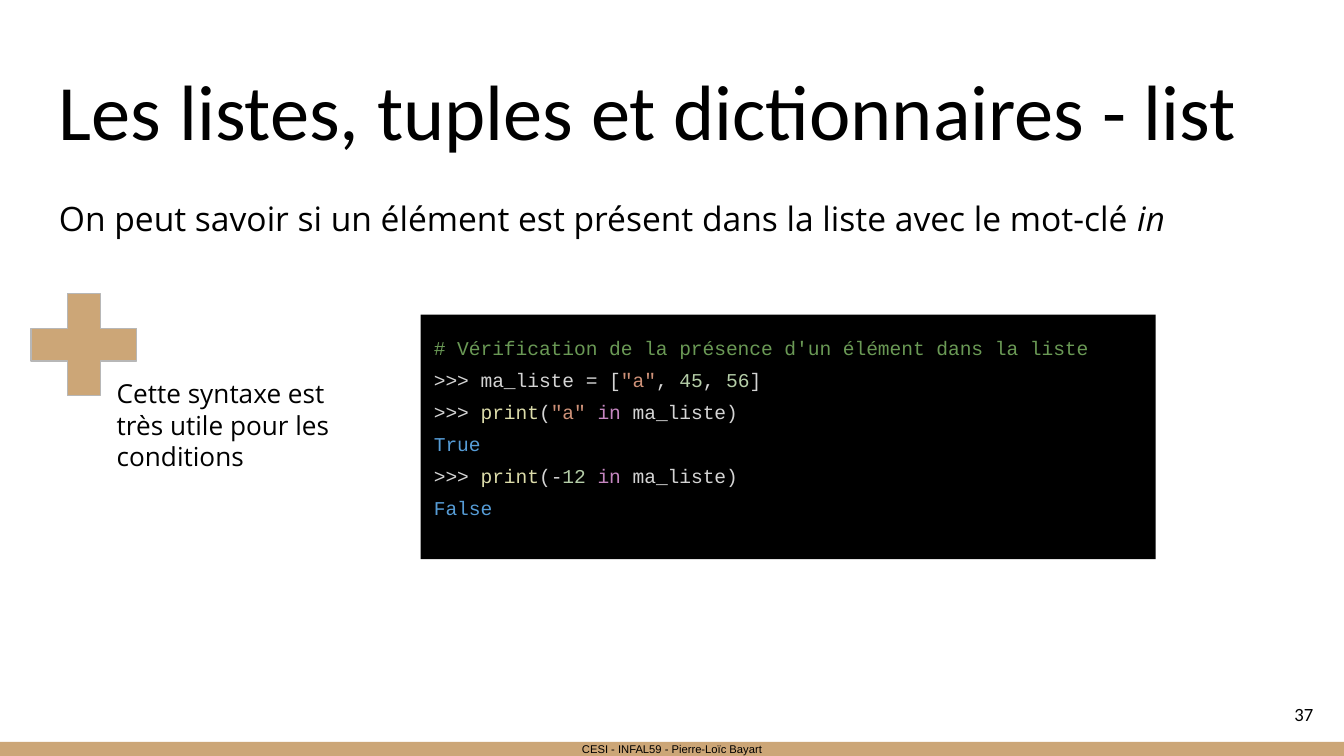
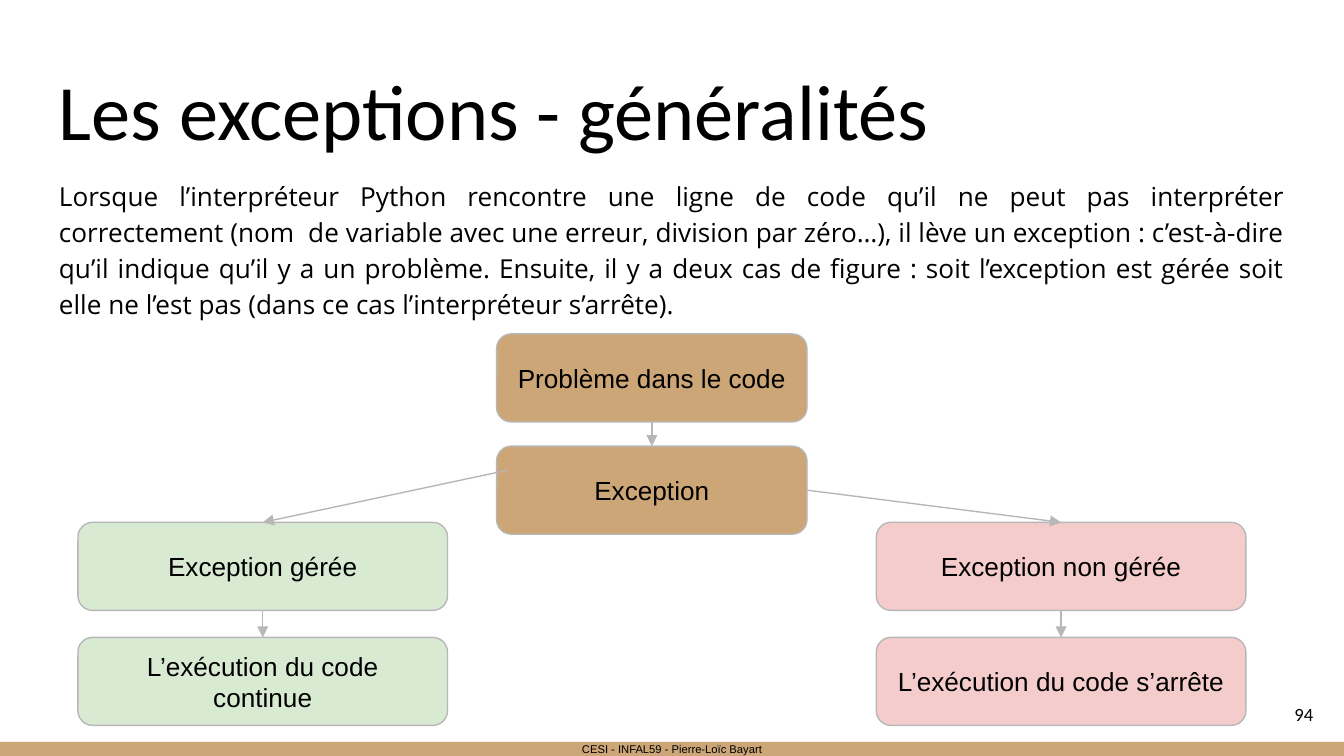
from pptx import Presentation
from pptx.dml.color import RGBColor
from pptx.enum.shapes import MSO_CONNECTOR, MSO_SHAPE
from pptx.enum.text import MSO_ANCHOR, PP_ALIGN
from pptx.oxml.ns import qn
from pptx.util import Inches, Pt
from lxml.etree import SubElement

BLACK = RGBColor(0x00, 0x00, 0x00)
WHITE = RGBColor(0xFF, 0xFF, 0xFF)
TAN = RGBColor(0xCC, 0xA6, 0x77)
GREY = RGBColor(0xB7, 0xB7, 0xB7)
GREEN = RGBColor(0xD9, 0xEA, 0xD3)
PINK = RGBColor(0xF4, 0xCC, 0xCC)

# Code colours
NOTE = RGBColor(0x6A, 0x99, 0x55)
PLAIN = RGBColor(0xD4, 0xD4, 0xD4)
STRING = RGBColor(0xCE, 0x91, 0x78)
NUMBER = RGBColor(0xB5, 0xCE, 0xA8)
CALL = RGBColor(0xDC, 0xDC, 0xAA)
WORD = RGBColor(0xC5, 0x86, 0xC0)
VALUE = RGBColor(0x56, 0x9C, 0xD6)

# Grid of 100 columns by 56.25 rows
COLS, ROWS = 100, 56.25
BOTTOM, RIGHT = 2, 3


class Deck:
    sans, head, body, mono = "Arial", "Calibri", "Open Sans", "Courier New"

    def __init__(self):
        self.prs = Presentation()
        self.prs.slide_width = Inches(10)
        self.prs.slide_height = Inches(5.625)
        self.col = self.prs.slide_width / COLS
        self.row = self.prs.slide_height / ROWS

    def place(self, x, y, w, h):
        return (round(x * self.col), round(y * self.row),
                round(w * self.col), round(h * self.row))

    def slide(self, title, number):
        """Start a slide with its footer band, title and number."""
        self.page = self.prs.slides.add_slide(self.prs.slide_layouts[6])
        fill = self.page.background.fill
        fill.solid()
        fill.fore_color.rgb = WHITE
        band = self.shape(MSO_SHAPE.RECTANGLE, (0, 55.2, COLS, 1.05), TAN)
        self.label(band, "CESI - INFAL59 - Pierre-Loïc Bayart", 6, self.sans,
                   PP_ALIGN.CENTER, MSO_ANCHOR.MIDDLE)
        self.text((3.4, 3.5, 93.2, 9.1), title, 42, self.head,
                  anchor=MSO_ANCHOR.BOTTOM)
        self.text((92.7, 51, 6, 4.3), number, 10, self.head,
                  PP_ALIGN.RIGHT, MSO_ANCHOR.MIDDLE)

    def frame(self, shape, anchor):
        frame = shape.text_frame
        frame.word_wrap = True
        frame.vertical_anchor = anchor
        frame.margin_left = frame.margin_right = Inches(0.1)
        frame.margin_top = frame.margin_bottom = Inches(0.1)
        return frame

    def style(self, run, size, font, color=BLACK):
        run.font.size = Pt(size)
        run.font.name = font
        run.font.color.rgb = color

    def label(self, shape, text, size, font, align=PP_ALIGN.LEFT,
              anchor=MSO_ANCHOR.TOP, space=None):
        frame = self.frame(shape, anchor)
        frame.text = text
        para = frame.paragraphs[0]
        para.alignment = align
        para.line_spacing = space
        self.style(para.runs[0], size, font)
        return para

    def text(self, area, *args, **more):
        box = self.page.shapes.add_textbox(*self.place(*area))
        return self.label(box, *args, **more)

    def shape(self, kind, area, fill, line=None):
        shape = self.page.shapes.add_shape(kind, *self.place(*area))
        shape.shadow.inherit = False
        shape.fill.solid()
        shape.fill.fore_color.rgb = fill
        if line is None:
            shape.line.fill.background()
        else:
            shape.line.color.rgb = line
            shape.line.width = Pt(0.75)
        return shape

    def code(self, area, lines):
        panel = self.shape(MSO_SHAPE.RECTANGLE, area, BLACK)
        frame = self.frame(panel, MSO_ANCHOR.TOP)
        for i, line in enumerate(lines):
            para = frame.add_paragraph() if i else frame.paragraphs[0]
            para.alignment = PP_ALIGN.LEFT
            para.line_spacing = 1.36
            for part, color in line:
                run = para.add_run()
                run.text = part
                self.style(run, 10.5, self.mono, color)

    def node(self, area, text, fill):
        node = self.shape(MSO_SHAPE.ROUNDED_RECTANGLE, area, fill, GREY)
        node.adjustments[0] = 0.167
        self.label(node, text, 14, self.sans, PP_ALIGN.CENTER,
                   MSO_ANCHOR.MIDDLE)
        return node

    def arrow(self, start, end, side=BOTTOM, point=None):
        """Join a side of start, or a free point, to the top of end."""
        x, y = self.place(*point, 0, 0)[:2] if point else (0, 0)
        line = self.page.shapes.add_connector(
            MSO_CONNECTOR.STRAIGHT, x, y, x, y)
        if point is None:
            line.begin_connect(start, side)
        line.end_connect(end, 0)
        line.line.color.rgb = GREY
        line.line.width = Pt(0.75)
        props = line._element.spPr
        SubElement(props.find(qn("a:ln")), qn("a:tailEnd"), type="triangle")
        SubElement(props, qn("a:effectLst"))


def lists(deck):
    deck.slide("Les listes, tuples et dictionnaires - list", "37")
    para = deck.text(
        (3.4, 13.3, 93.2, 33.8),
        "On peut savoir si un élément est présent dans la liste avec le "
        "mot-clé ", 18, deck.body, space=1.15)
    run = para.add_run()
    run.text = "in"
    deck.style(run, 18, deck.body)
    run.font.italic = True

    # Code panel
    prompt, test = (">>> ", PLAIN), [("in", WORD), (" ma_liste)", PLAIN)]
    deck.code((31.3, 23.4, 54.7, 18.2), [
        [("# Vérification de la présence d'un élément dans la liste", NOTE)],
        [(">>> ma_liste = [", PLAIN), ('"a"', STRING), (", ", PLAIN),
         ("45", NUMBER), (", ", PLAIN), ("56", NUMBER), ("]", PLAIN)],
        [prompt, ("print", CALL), ("(", PLAIN), ('"a" ', STRING), *test],
        [("True", VALUE)],
        [prompt, ("print", CALL), ("(-", PLAIN), ("12 ", NUMBER), *test],
        [("False", VALUE)],
    ])

    # Side remark
    plus = deck.shape(MSO_SHAPE.MATH_PLUS, (0.9, 20.5, 10.7, 10.3), TAN, GREY)
    plus.adjustments[0] = 0.235
    deck.text((7.7, 27.1, 18, 8.2),
              "Cette syntaxe est très utile pour les conditions",
              14, deck.body)


def errors(deck):
    deck.slide("Les exceptions - généralités", "94")
    deck.text(
        (3.4, 12.1, 93.2, 37.6),
        "Lorsque l’interpréteur Python rencontre une ligne de code qu’il ne "
        "peut pas interpréter correctement (nom  de variable avec une erreur, "
        "division par zéro…), il lève un exception : c’est-à-dire qu’il "
        "indique qu’il y a un problème. Ensuite, il y a deux cas de figure : "
        "soit l’exception est gérée soit elle ne l’est pas (dans ce cas "
        "l’interpréteur s’arrête).",
        14, deck.body, PP_ALIGN.JUSTIFY, space=1.15)

    # Trunk of the flow
    tall = 6.55
    cause, fault = [
        deck.node((36.95, y, 23.1, tall), text, TAN)
        for y, text in ((24.85, "Problème dans le code"), (33.2, "Exception"))]
    deck.arrow(cause, fault)

    # Two branches
    branches = [
        (5.8, GREEN, (37.7, 35),
         ("Exception gérée", "L’exécution du code continue")),
        (65.2, PINK, None,
         ("Exception non gérée", "L’exécution du code s’arrête"))]
    for x, fill, point, texts in branches:
        case, result = [
            deck.node((x, y, 27.5, tall), text, fill)
            for y, text in zip((38.87, 47.43), texts)]
        deck.arrow(fault, case, RIGHT, point)
        deck.arrow(case, result)


def main():
    deck = Deck()
    lists(deck)
    errors(deck)
    deck.prs.save("out.pptx")


if __name__ == "__main__":
    main()
